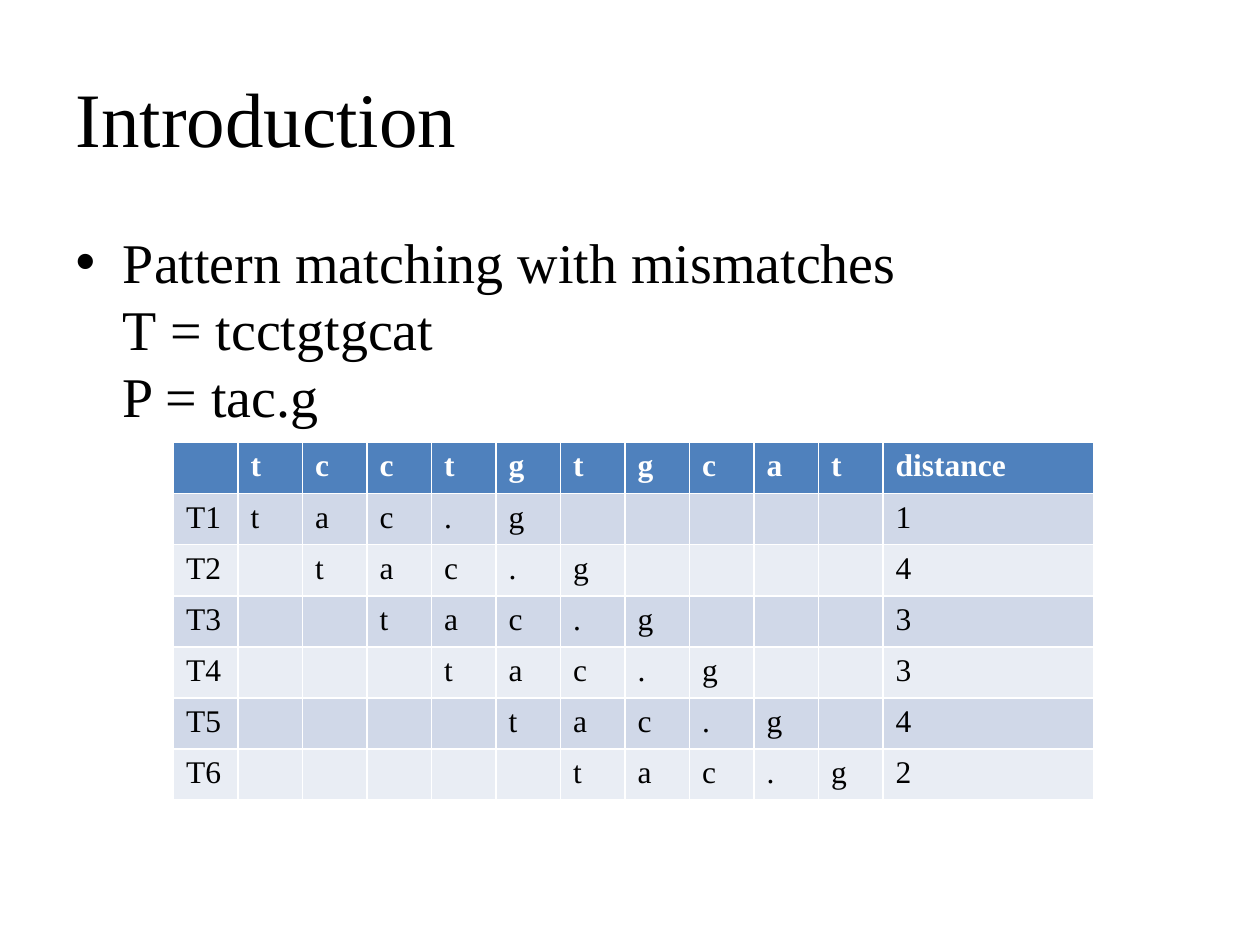
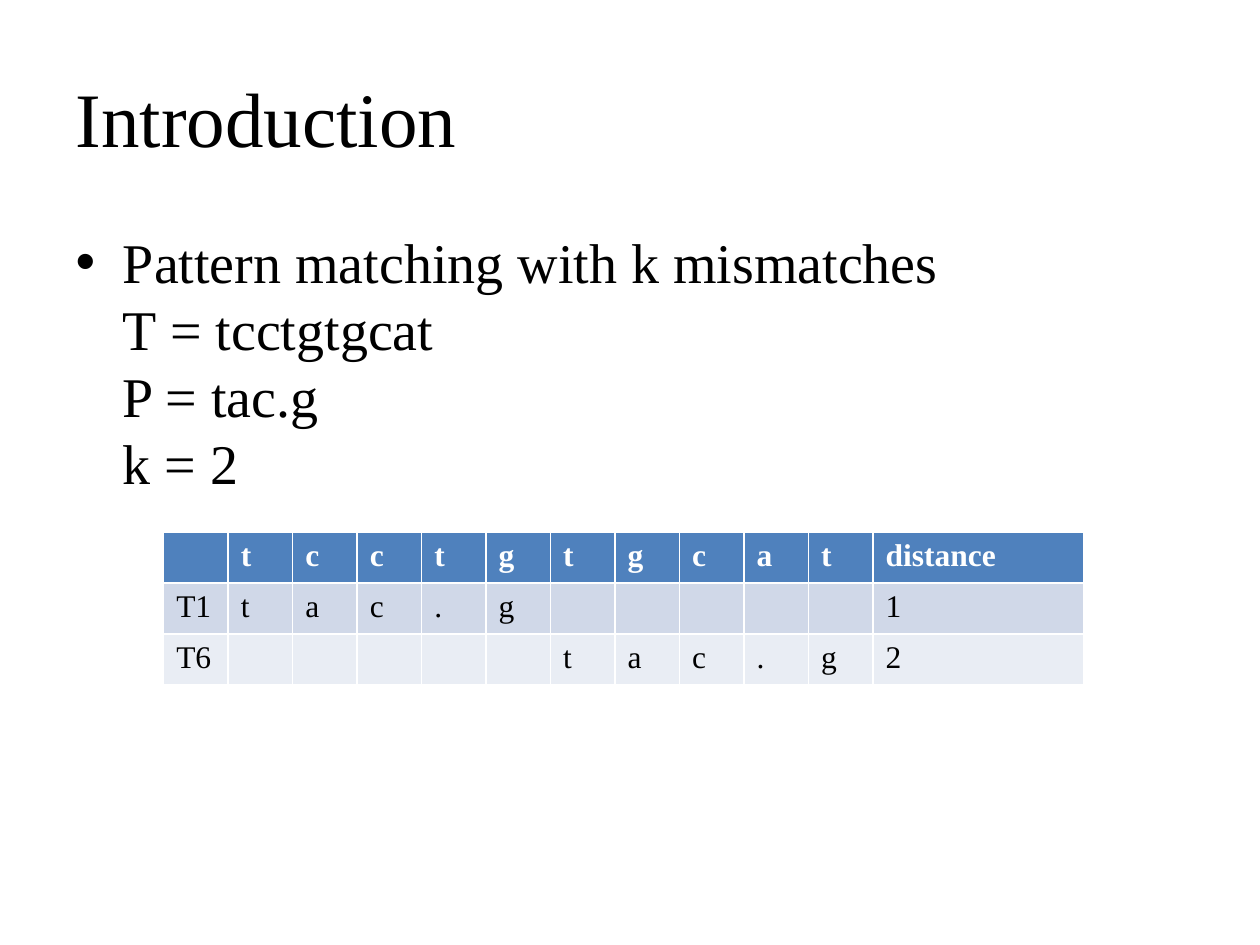
from pptx import Presentation
from pptx.dml.color import RGBColor
from pptx.enum.text import MSO_ANCHOR, PP_ALIGN
from pptx.util import Cm, Pt

LEFT = PP_ALIGN.LEFT
MIDDLE = MSO_ANCHOR.MIDDLE

TEXT = "tcctgtgcat"
PATTERN = "tac.g"
WILDCARD = "."
MAX_MISMATCHES = 2


def rgb(value):
    return RGBColor.from_string(value)


def distance(shift):
    window = TEXT[shift:shift + len(PATTERN)]
    return sum(p not in (WILDCARD, t) for p, t in zip(PATTERN, window))


def alignment_row(shift):
    gap_after = len(TEXT) - len(PATTERN) - shift
    letters = [""] * shift + list(PATTERN) + [""] * gap_after
    return [f"T{shift + 1}", *letters, str(distance(shift))]


class Deck:
    font_name = "Times New Roman"
    ink = "000000"
    header_ink = "FFFFFF"
    header_fill = "4F81BD"
    band_fills = ("D0D8E8", "E9EDF4")
    margin = Cm(1.27)
    content_width = Cm(22.86)
    letter_width = Cm(1.3)
    distance_width = Cm(4.25)
    row_height = Cm(1.03)

    def __init__(self):
        self.presentation = Presentation()
        self.presentation.slide_width = Cm(25.4)
        self.presentation.slide_height = Cm(19.05)
        self.slide = None

    def add_slide(self, title):
        layout = self.presentation.slide_layouts[1]
        self.slide = self.presentation.slides.add_slide(layout)
        heading = self.slide.shapes.title
        self.place(heading, Cm(0.76), Cm(3.18))
        heading.text_frame.text = title
        heading.text_frame.vertical_anchor = MIDDLE
        heading.text_frame.paragraphs[0].alignment = LEFT
        self.style(heading.text_frame, 44, self.ink)

    def place(self, placeholder, top, height):
        placeholder.left, placeholder.top = self.margin, top
        placeholder.width, placeholder.height = self.content_width, height

    def style(self, frame, size, color, bold=False):
        for paragraph in frame.paragraphs:
            for run in paragraph.runs:
                run.font.name = self.font_name
                run.font.size = Pt(size)
                run.font.bold = bold
                run.font.color.rgb = rgb(color)

    def bullet(self, lines):
        body = self.slide.placeholders[1]
        self.place(body, Cm(4.45), Cm(12.57))
        body.text_frame.text = "\v".join(lines)
        body.text_frame.paragraphs[0].space_before = Pt(0)
        self.style(body.text_frame, 32, self.ink)

    def alignment_table(self, left, top, shifts):
        rows = [["", *TEXT, "distance"], *map(alignment_row, shifts)]
        widths = [self.letter_width] * (len(TEXT) + 1) + [self.distance_width]
        table = self.slide.shapes.add_table(
            len(rows), len(widths), left, top,
            sum(widths), self.row_height * len(rows)).table
        for column, width in zip(table.columns, widths):
            column.width = width
        for r, values in enumerate(rows):
            is_header = r == 0
            fill = self.header_fill if is_header else self.band_fills[(r - 1) % 2]
            ink = self.header_ink if is_header else self.ink
            for c, value in enumerate(values):
                cell = table.cell(r, c)
                cell.text_frame.text = value
                cell.fill.solid()
                cell.fill.fore_color.rgb = rgb(fill)
                self.style(cell.text_frame, 18, ink, is_header)


def main():
    deck = Deck()
    problem = [f"T = {TEXT}", f"P = {PATTERN}"]
    all_shifts = range(len(TEXT) - len(PATTERN) + 1)
    close_shifts = [s for s in all_shifts if distance(s) <= MAX_MISMATCHES]

    deck.add_slide("Introduction")
    deck.bullet(["Pattern matching with mismatches", *problem])
    deck.alignment_table(Cm(3.5), Cm(8.92), all_shifts)

    deck.add_slide("Introduction")
    deck.bullet(["Pattern matching with k mismatches", *problem,
                 f"k = {MAX_MISMATCHES}"])
    deck.alignment_table(Cm(3.3), Cm(10.72), close_shifts)

    deck.presentation.save("out.pptx")


if __name__ == "__main__":
    main()
